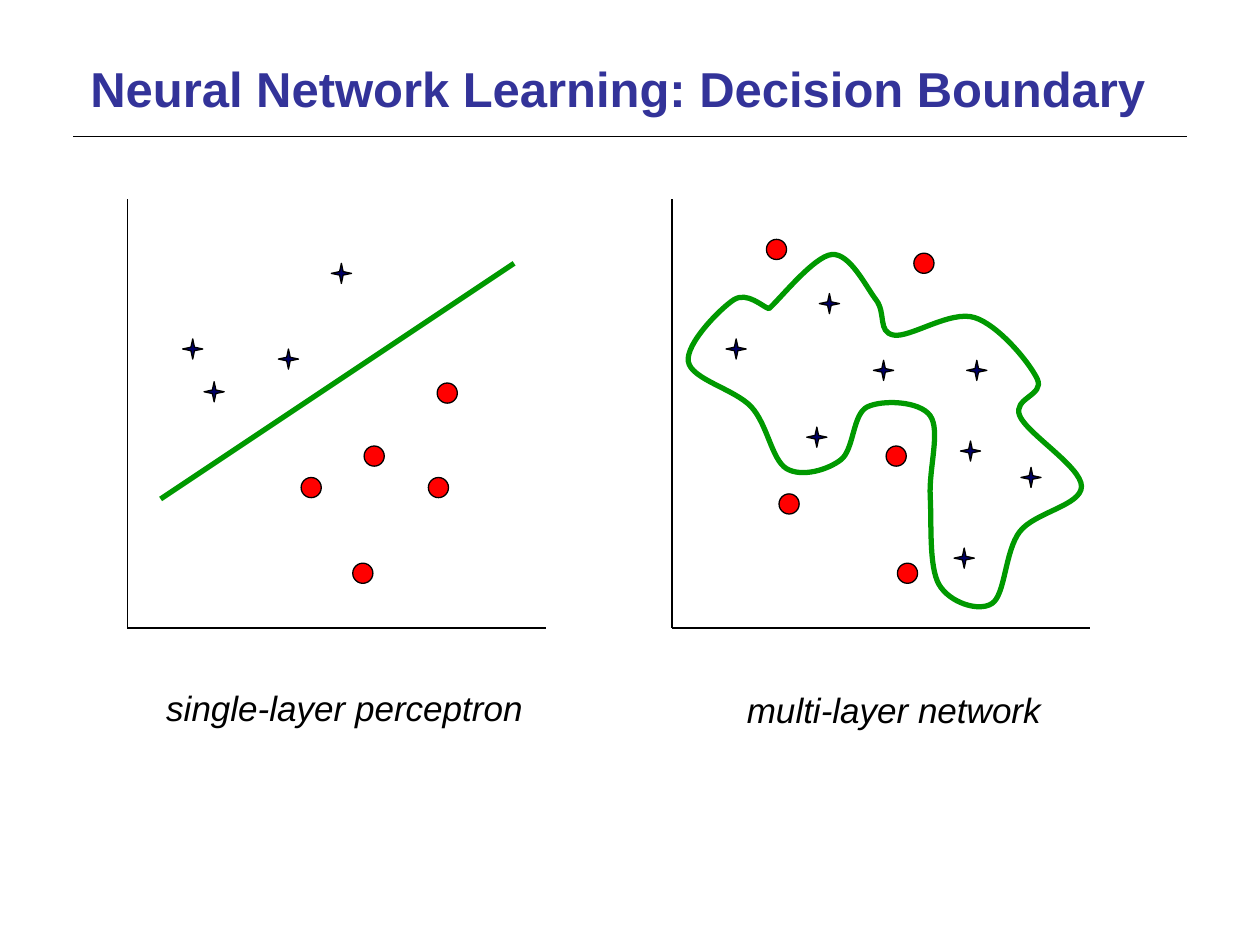
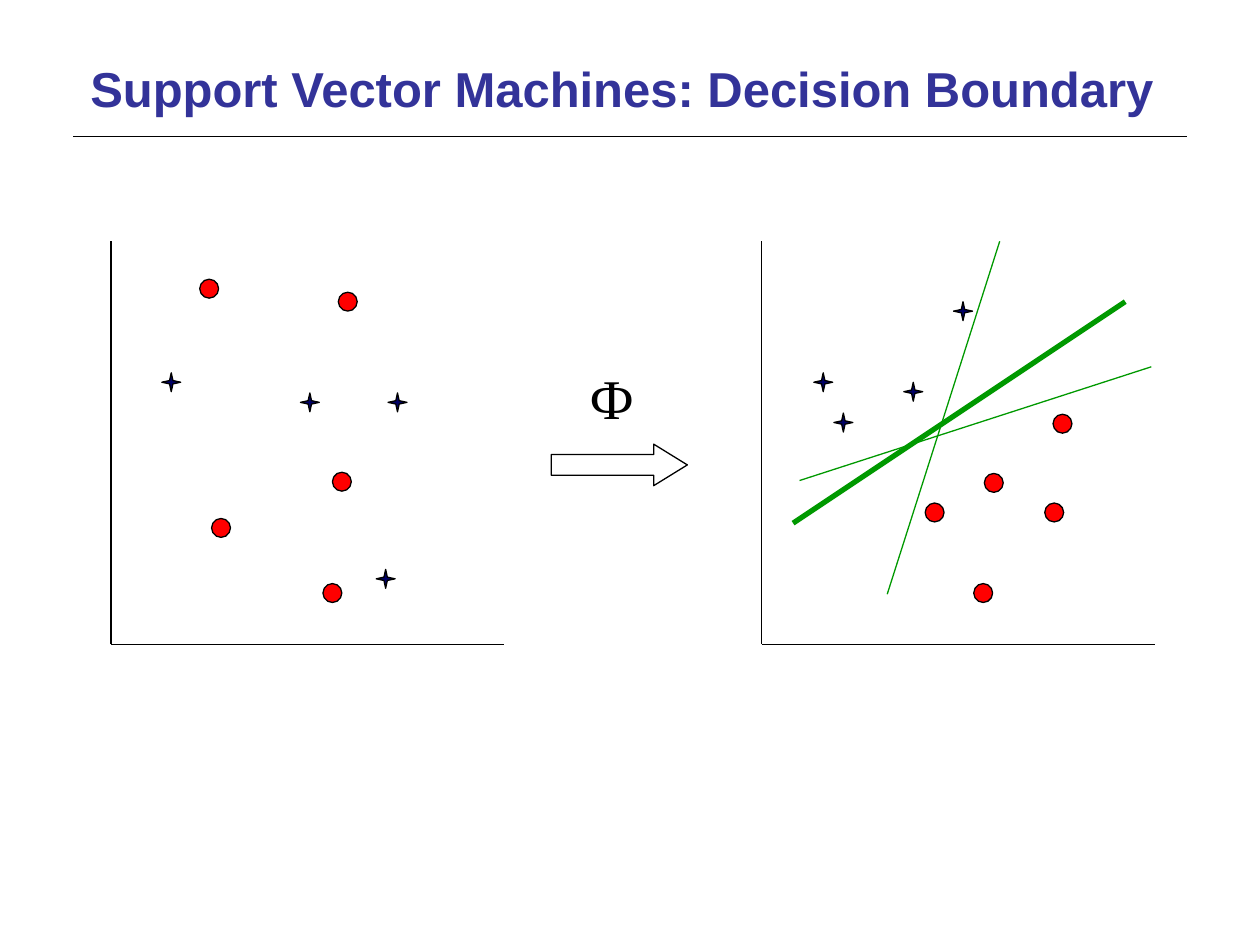
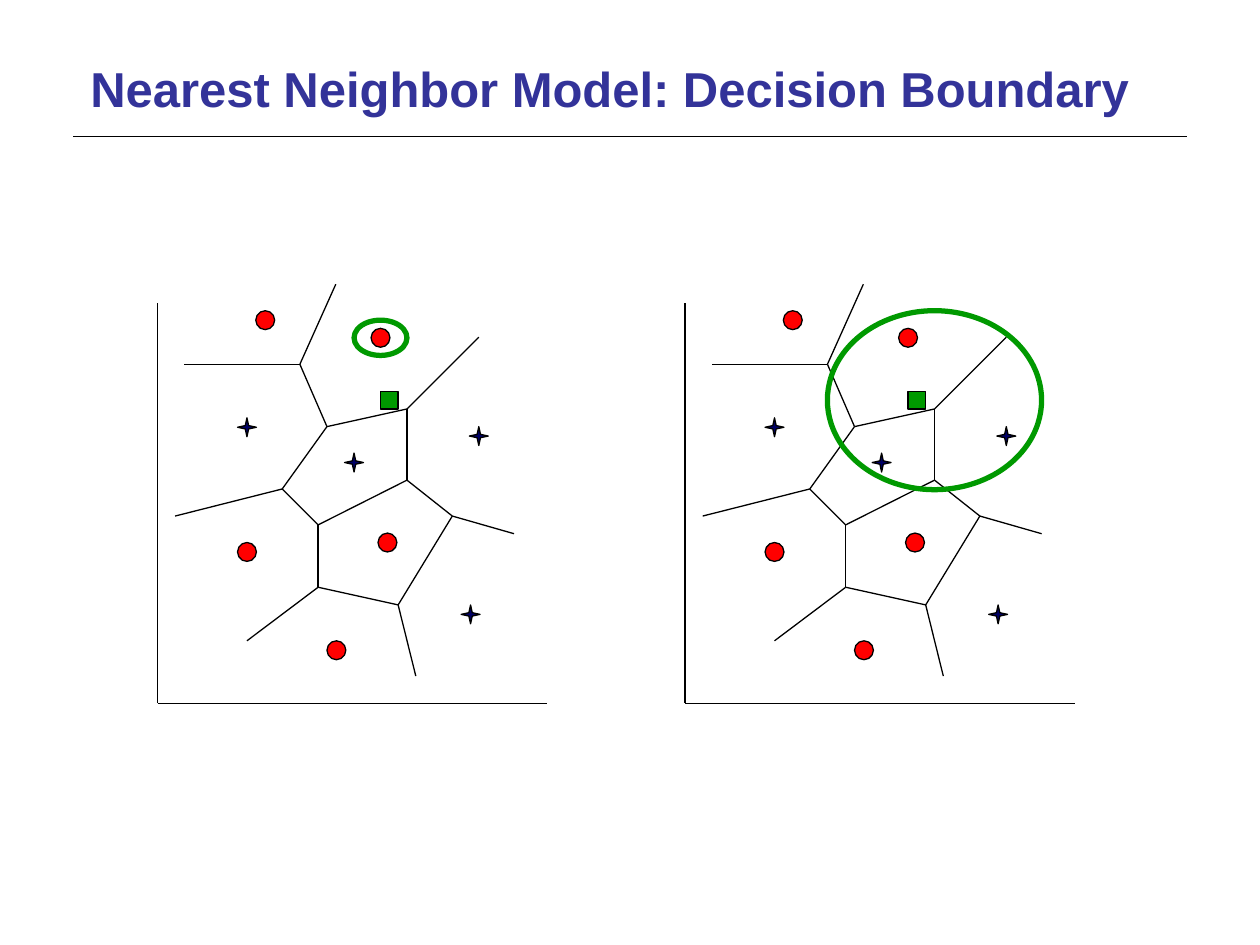
import dataclasses
import typing

import lxml.etree
import pptx
import pptx.dml.color
import pptx.enum.shapes
import pptx.enum.text
import pptx.oxml
import pptx.oxml.ns
import pptx.util

SHAPE = pptx.enum.shapes.MSO_SHAPE
BLACK, NAVY, RED, GREEN, TITLE_BLUE = "000000", "000066", "FF0000", "009900", "333399"
THIN, THICK = 0.75, 3
COLUMNS, ROWS = 100, 75  # square cells of a tenth of an inch
CELL = pptx.util.Inches(0.1)
SMALL_SCALE = 0.94  # support vector plots against the neural network plots

# Points are columns and rows from the top left corner of their plot.
SEPARABLE_STARS = [(17, 5.9), (12.8, 12.7), (6.9, 15.3), (5.2, 11.9)]
SEPARABLE_CIRCLES = [(19.6, 20.4), (24.7, 22.9), (18.7, 29.7), (25.4, 15.4), (14.6, 22.9)]
SEPARATOR = ((2.65, 23.8), (30.7, 5.1))
OTHER_SEPARATORS = [((10.6, 29.8), (20.1, 0)), ((3.2, 20.2), (32.9, 10.6))]

MIXED_STARS = [(24.2, 13.6), (23.2, 28.5), (16.8, 13.6), (5.1, 11.9)]
MIXED_CIRCLES = [(9.3, 24.2), (18.7, 29.7), (20, 5.1), (8.3, 4)]
ENCLOSED_STARS = [(12.5, 8.3), (11.5, 18.9), (23.7, 20), (28.5, 22.1)]
BOUNDARY = [
    (7.7, 8.7), (12.7, 4.4), (16.2, 8), (17.6, 10.8), (24, 9.4), (29, 14.3), (27.6, 17.2),
    (32.5, 22.8), (27.6, 26.4), (25.4, 32.1), (21.2, 30.6), (20.5, 23.6), (20.5, 17.2),
    (15.5, 16.5), (13.4, 20.7), (9.1, 21.4), (6.3, 16.5), (1.3, 12.9), (4.9, 8),
]

NEIGHBOR_STARS = [(25.5, 10.55), (24.85, 24.7), (15.6, 12.65), (7.1, 9.85)]
NEIGHBOR_CIRCLES = [(18.25, 19), (7.1, 19.75), (14.2, 27.55), (17.7, 2.75), (8.55, 1.35)]
QUERY = (18.4, 7.7)
VERTICES = {
    "A": (11.3, 4.85), "B": (13.45, 9.8), "C": (19.8, 8.4), "D": (9.9, 14.75), "E": (12.75, 17.6),
    "F": (12.75, 22.55), "G": (19.8, 14.05), "H": (23.4, 16.9), "I": (19.1, 23.95),
    "left of A": (2.1, 4.85), "above A": (14.15, -1.5), "right of C": (25.5, 2.7),
    "left of D": (1.4, 16.9), "below F": (7.1, 26.8), "right of H": (28.3, 18.3),
    "below I": (20.5, 29.6),
}
INNER_EDGES = ["AB", "BC", "BD", "DE", "EF", "CG", "EG", "FI", "HI", "GH"]
OUTER_ENDS = ["left of A", "above A", "right of C", "left of D", "below F", "right of H", "below I"]
CELL_EDGES = [tuple(edge) for edge in INNER_EDGES] + [(end[-1], end) for end in OUTER_ENDS]


def cells(count):
    return round(count * CELL)


def color(value):
    return pptx.dml.color.RGBColor.from_string(value)


def style_line(line, line_color, width):
    line.color.rgb = color(line_color)
    line.width = pptx.util.Pt(width)


def style_shape(shape, fill, line_color, width):
    shape.shadow.inherit = False
    if fill:
        shape.fill.solid()
        shape.fill.fore_color.rgb = color(fill)
    else:
        shape.fill.background()
    style_line(shape.line, line_color, width)


def add_line(shapes, start, end, line_color=BLACK, width=THIN):
    connector = shapes.add_connector(
        pptx.enum.shapes.MSO_CONNECTOR.STRAIGHT, *map(cells, (*start, *end)))
    style_line(connector.line, line_color, width)
    properties = connector.element.find(pptx.oxml.ns.qn("p:spPr"))
    properties.append(pptx.oxml.parse_xml(
        f"<a:effectLst {pptx.oxml.ns.nsdecls('a')}/>"))
    return connector


def smooth_outline(shape):
    """Turn the straight segments of a freeform into curves through its points."""
    qualified = pptx.oxml.ns.qn
    points = [(int(point.get("x")), int(point.get("y")))
              for point in shape.element.iter(qualified("a:pt"))]
    padded = [points[0], *points, points[-1]]
    segments = list(shape.element.iter(qualified("a:lnTo")))
    for segment, before, start, end, after in zip(
            segments, padded, padded[1:], padded[2:], padded[3:]):
        leaving = [s + (e - b) / 6 for b, s, e in zip(before, start, end)]
        arriving = [e - (a - s) / 6 for s, e, a in zip(start, end, after)]
        segment.tag = qualified("a:cubicBezTo")
        for position, control in enumerate((leaving, arriving)):
            point = lxml.etree.Element(qualified("a:pt"))
            point.set("x", str(round(control[0])))
            point.set("y", str(round(control[1])))
            segment.insert(position, point)


@dataclasses.dataclass
class Plot:
    """A pair of axes whose contents are grouped and share one scale."""
    shapes: typing.Any
    left: float
    top: float
    scale: float = 1
    marker: float = 1.6

    def place(self, point):
        return self.left + point[0] * self.scale, self.top + point[1] * self.scale

    def line(self, start, end, line_color=BLACK, width=THIN):
        add_line(self.shapes, self.place(start), self.place(end), line_color, width)

    def axes(self, width, height):
        self.line((0, 0), (0, height))
        self.line((0, height), (width, height))

    def centered(self, kind, center, width, height, fill, line_color=BLACK, line_width=THIN):
        x, y = self.place(center)
        shape = self.shapes.add_shape(
            kind, *map(cells, (x - width / 2, y - height / 2, width, height)))
        style_shape(shape, fill, line_color, line_width)
        return shape

    def stars(self, centers):
        for center in centers:
            star = self.centered(SHAPE.STAR_4_POINT, center, self.marker, self.marker, NAVY)
            star.adjustments[0] = 0.125

    def circles(self, centers):
        for center in centers:
            self.centered(SHAPE.OVAL, center, self.marker, self.marker, RED)

    def loop(self, anchors):
        points = [tuple(map(cells, self.place(point))) for point in anchors]
        builder = self.shapes.build_freeform(*points[0])
        builder.add_line_segments(points[1:] + points[:1], close=True)
        outline = builder.convert_to_shape()
        smooth_outline(outline)
        style_shape(outline, None, GREEN, THICK)


def add_plot(slide, left, top, width, height, scale=1, marker=1.6):
    plot = Plot(slide.shapes.add_group_shape().shapes, left, top, scale, marker)
    plot.axes(width / scale, height / scale)
    return plot


def format_text(text_frame, size, font_name, text_color, alignment, bold=False, italic=False):
    margin = pptx.util.Inches(0.05)
    text_frame.margin_left = text_frame.margin_right = margin
    text_frame.margin_top = text_frame.margin_bottom = margin
    text_frame.vertical_anchor = pptx.enum.text.MSO_ANCHOR.TOP
    for paragraph in text_frame.paragraphs:
        paragraph.alignment = alignment
        for run in paragraph.runs:
            run.font.size = pptx.util.Pt(size)
            run.font.name = font_name
            run.font.bold = bold
            run.font.italic = italic
            run.font.color.rgb = color(text_color)


def add_label(slide, text, box, size, font_name="Arial", italic=False):
    text_frame = slide.shapes.add_textbox(*map(cells, box)).text_frame
    text_frame.text = text
    text_frame.word_wrap = False
    text_frame.auto_size = pptx.enum.text.MSO_AUTO_SIZE.SHAPE_TO_FIT_TEXT
    format_text(text_frame, size, font_name, BLACK, pptx.enum.text.PP_ALIGN.CENTER, italic=italic)


def add_slide(presentation, layout, model):
    slide = presentation.slides.add_slide(layout)
    text_frame = slide.shapes.title.text_frame
    text_frame.text = f"{model}: Decision Boundary"
    text_frame.auto_size = pptx.enum.text.MSO_AUTO_SIZE.NONE
    format_text(text_frame, 28, "Arial", TITLE_BLUE, pptx.enum.text.PP_ALIGN.LEFT, bold=True)
    return slide


def prepare_layout(layout):
    for placeholder in layout.placeholders:
        if placeholder.placeholder_format.type == pptx.enum.shapes.PP_PLACEHOLDER.TITLE:
            placeholder.left, placeholder.top, placeholder.width, placeholder.height = map(
                cells, (6.67, 4.17, 86.67, 10))


def move_rule_to_layout(slide, layout):
    rule = add_line(slide.shapes, (5.83, 10.83), (94.17, 10.83), width=1)
    layout.shapes.element.append(rule.element)


def fill_neural_network(slide):
    single = add_plot(slide, 10.1, 15.8, 33.2, 34.05)
    single.stars(SEPARABLE_STARS)
    single.circles(SEPARABLE_CIRCLES)
    single.line(*SEPARATOR, GREEN, THICK)

    multiple = add_plot(slide, 53.33, 15.8, 33.2, 34.05)
    multiple.stars(MIXED_STARS + ENCLOSED_STARS)
    multiple.circles(MIXED_CIRCLES + [(17.8, 20.4)])
    multiple.loop(BOUNDARY)

    add_label(slide, "single-layer perceptron", (12.65, 54, 29.4, 4.1), 20, italic=True)
    add_label(slide, "multi-layer network", (58.75, 54.15, 24.4, 4.1), 20, italic=True)


def fill_support_vectors(slide):
    mapped = add_plot(slide, 60.45, 19.15, 31.2, 32, SMALL_SCALE, 1.5)
    mapped.stars(SEPARABLE_STARS)
    mapped.circles(SEPARABLE_CIRCLES)
    mapped.line(*SEPARATOR, GREEN, THICK)
    for separator in OTHER_SEPARATORS:
        mapped.line(*separator, GREEN)

    mixed = add_plot(slide, 8.8, 19.15, 31.2, 32, SMALL_SCALE, 1.5)
    mixed.stars(MIXED_STARS)
    mixed.circles(MIXED_CIRCLES + [(19.5, 20.3)])

    arrow = slide.shapes.add_shape(SHAPE.RIGHT_ARROW, *map(cells, (43.75, 35.25, 10.8, 3.3)))
    arrow.adjustments[1] = 0.81
    style_shape(arrow, None, BLACK, THIN)
    add_label(slide, "Ф", (46.3, 28.35, 4.5, 6.3), 32, "Times New Roman")


def fill_nearest_neighbor(slide):
    neighborhoods = [(12.5, (17.7, 2.75), 4.2, 2.8), (54.37, (19.8, 7.7), 17, 14.2)]
    for left, center, width, height in neighborhoods:
        plot = add_plot(slide, left, 24.06, 30.95, 31.75, marker=1.5)
        plot.stars(NEIGHBOR_STARS)
        plot.circles(NEIGHBOR_CIRCLES)
        for start, end in CELL_EDGES:
            plot.line(VERTICES[start], VERTICES[end])
        plot.centered(SHAPE.RECTANGLE, QUERY, 1.4, 1.4, GREEN)
        plot.centered(SHAPE.OVAL, center, width, height, None, GREEN, THICK)


def main():
    presentation = pptx.Presentation()
    presentation.slide_width, presentation.slide_height = cells(COLUMNS), cells(ROWS)
    layout = presentation.slide_layouts.get_by_name("Title Only")
    prepare_layout(layout)
    contents = {
        "Neural Network Learning": fill_neural_network,
        "Support Vector Machines": fill_support_vectors,
        "Nearest Neighbor Model": fill_nearest_neighbor,
    }
    for model, fill_slide in contents.items():
        fill_slide(add_slide(presentation, layout, model))
    move_rule_to_layout(presentation.slides[0], layout)
    presentation.save("out.pptx")


if __name__ == "__main__":
    main()
